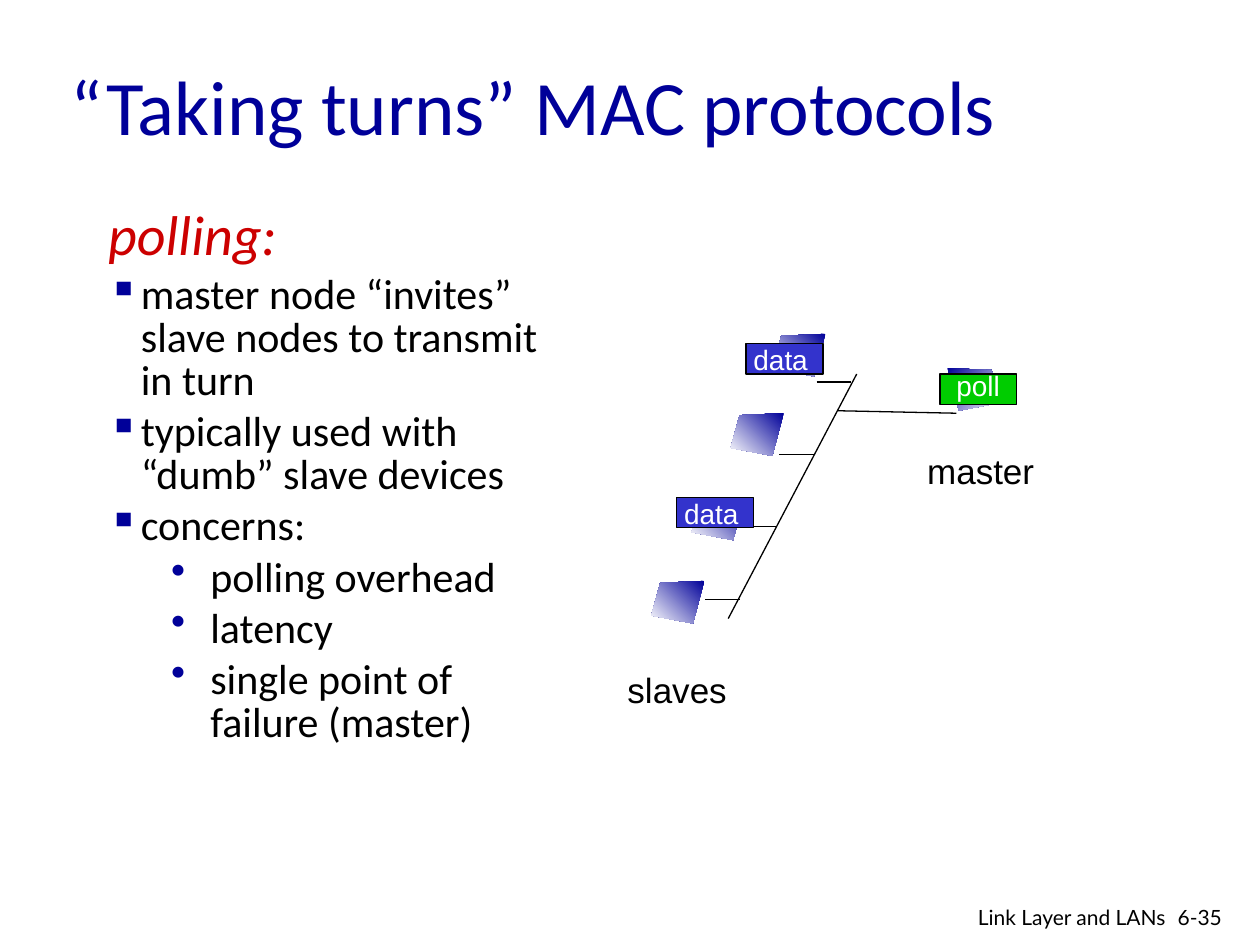
from pptx import Presentation, util as u
from pptx.dml.color import RGBColor
from pptx.enum import shapes as shp, text as txt
from pptx.oxml.ns import qn
from lxml import etree

NAVY, RED, BLACK, WHITE = "000099", "CC0000", "000000", "FFFFFF"
BLUE, GREEN = "3333CC", "00CC00"


def colour(hex_value):
    """Turn a hex string into a colour."""
    return RGBColor.from_string(hex_value)


def cm(*lengths):
    """Turn numbers into centimetre lengths."""
    return [u.Cm(length) for length in lengths]


def write(paragraph, words, font, size, hex_value, **formats):
    """Add one formatted run to a paragraph."""
    run = paragraph.add_run()
    run.text = words
    run.font.color.rgb = colour(hex_value)
    for name, value in dict(name=font, size=u.Pt(size), **formats).items():
        setattr(run.font, name, value)


def add_label(slide, box, words, font, size, hex_value=BLACK, wrap=False, align=None):
    """Place a single line of text."""
    frame = slide.shapes.add_textbox(*cm(*box)).text_frame
    frame.word_wrap = wrap
    frame.paragraphs[0].alignment = align or txt.PP_ALIGN.LEFT
    write(frame.paragraphs[0], words, font, size, hex_value)


def add_title(slide, box, words):
    """Move and fill the title placeholder."""
    title = slide.shapes.title
    for name, value in zip(("left", "top", "width", "height"), cm(*box)):
        setattr(title, name, value)
    frame = title.text_frame
    frame.vertical_anchor = txt.MSO_ANCHOR.MIDDLE
    frame.paragraphs[0].alignment = txt.PP_ALIGN.LEFT
    write(frame.paragraphs[0], words, "Calibri", 44, NAVY)


def set_bullet(paragraph, mark, left, hanging):
    """Give a paragraph a coloured bullet and a hanging indent."""
    props = paragraph._p.get_or_add_pPr()
    props.set("marL", str(u.Cm(left)))
    props.set("indent", str(-u.Cm(hanging)))
    shade = etree.SubElement(props, qn("a:buClr"))
    etree.SubElement(shade, qn("a:srgbClr")).set("val", NAVY)
    etree.SubElement(props, qn("a:buChar")).set("char", mark)


def add_points(slide, box, heading, points):
    """Place the heading and its two levels of bullets."""
    frame = slide.shapes.add_textbox(*cm(*box)).text_frame
    frame.word_wrap = True
    first = frame.paragraphs[0]
    first.line_spacing = 0.85
    write(first, heading, "Calibri", 32, RED, italic=True)
    levels = [("▪", 0.66, 0.66), ("•", 2.06, 0.79)]
    for level, words in points:
        paragraph = frame.add_paragraph()
        paragraph.level = level
        paragraph.line_spacing = 0.85
        paragraph.space_before = u.Pt(4.8)
        set_bullet(paragraph, *levels[level])
        write(paragraph, words, "Calibri", 24, BLACK)


def add_station(slide, left, top, mirrored=False):
    """Draw one node, shaded from its dark upper corner."""
    corners = [(1.07, 0), (0.18, 0.04), (0, 0.7), (0.84, 0.86)]
    if mirrored:
        corners = [(1.07 - x, y) for x, y in corners]
    outline = [tuple(cm(left + x, top + y)) for x, y in corners]
    builder = slide.shapes.build_freeform(*outline[0])
    builder.add_line_segments(outline[1:], close=True)
    station = builder.convert_to_shape()
    station.shadow.inherit = False
    station.line.fill.background()
    station.fill.gradient()
    station.fill.gradient_angle = 315 if mirrored else 225
    for stop, shade in zip(station.fill.gradient_stops, (NAVY, WHITE)):
        stop.color.rgb = colour(shade)


def add_wire(slide, *ends):
    """Draw a thin black line between two points."""
    wire = slide.shapes.add_connector(shp.MSO_CONNECTOR.STRAIGHT, *cm(*ends))
    wire.line.color.rgb = colour(BLACK)
    wire.line.width = u.Pt(0.75)
    etree.SubElement(wire._element.spPr, qn("a:effectLst"))


def add_packet(slide, left, top, words, fill, text_dx, text_dy):
    """Draw a packet with its name over it."""
    packet = slide.shapes.add_shape(shp.MSO_SHAPE.RECTANGLE, *cm(left, top, 1.55, 0.61))
    packet.shadow.inherit = False
    packet.fill.solid()
    packet.fill.fore_color.rgb = colour(fill)
    packet.line.color.rgb = colour(BLACK)
    packet.line.width = u.Pt(0.75)
    add_label(slide, (left + text_dx, top + text_dy, 1.6, 0.94), words, "Arial", 16, WHITE)


def add_network(slide, left, top):
    """Draw the shared bus with its slaves, master and packets."""
    for dx, dy in [(0.73, 4.98), (1.54, 3.3), (2.33, 1.6), (3.17, 0)]:
        add_station(slide, left + dx, top + dy)
    add_station(slide, left + 6.7, top + 0.69, mirrored=True)

    add_wire(slide, left + 4.87, top + 0.81, left + 2.28, top + 5.74)
    add_wire(slide, left + 4.49, top + 1.55, left + 6.88, top + 1.6)
    for row in range(4):
        tap_x, tap_y = left + 4.06 - 0.75 * row, top + 0.97 + 1.46 * row
        add_wire(slide, tap_x, tap_y, tap_x + 0.7, tap_y)

    add_label(slide, (left + 6.04, top + 2.21, 2.67, 1.09), "master", "Arial", 20)
    add_label(slide, (left, top + 6.63, 2.51, 1.09), "slaves", "Arial", 20)
    add_packet(slide, left + 6.55, top + 0.81, "poll", GREEN, 0.08, -0.23)
    for dx, dy in [(1.24, 3.3), (2.64, 0.2)]:
        add_packet(slide, left + dx, top + dy, "data", BLUE, -0.1, -0.15)


def add_footer(slide, left, top):
    """Place the chapter name and the page number."""
    add_label(slide, (left + 5.79, top, 1.52, 0.76), "6-35", "Lato", 12, wrap=True)
    add_label(slide, (left, top, 6.05, 0.66), "Link Layer and LANs", "Lato", 12,
              wrap=True, align=txt.PP_ALIGN.RIGHT)


def main():
    """Build and save the slide."""
    deck = Presentation()
    deck.slide_width, deck.slide_height = cm(25.4, 19.05)
    slide = deck.slides.add_slide(deck.slide_layouts[5])
    add_title(slide, (1.17, 0.53, 21.59, 3.18), "“Taking turns” MAC protocols")
    add_points(slide, (1.93, 4.11, 9.6, 14.07), "polling:", [
        (0, "master node “invites” slave nodes to transmit in turn"),
        (0, "typically used with “dumb” slave devices"),
        (0, "concerns:"),
        (1, "polling overhead"),
        (1, "latency"),
        (1, "single point of failure (master)"),
    ])
    add_network(slide, 12.4, 6.73)
    add_footer(slide, 17.7, 18.11)
    deck.save("out.pptx")


if __name__ == "__main__":
    main()
